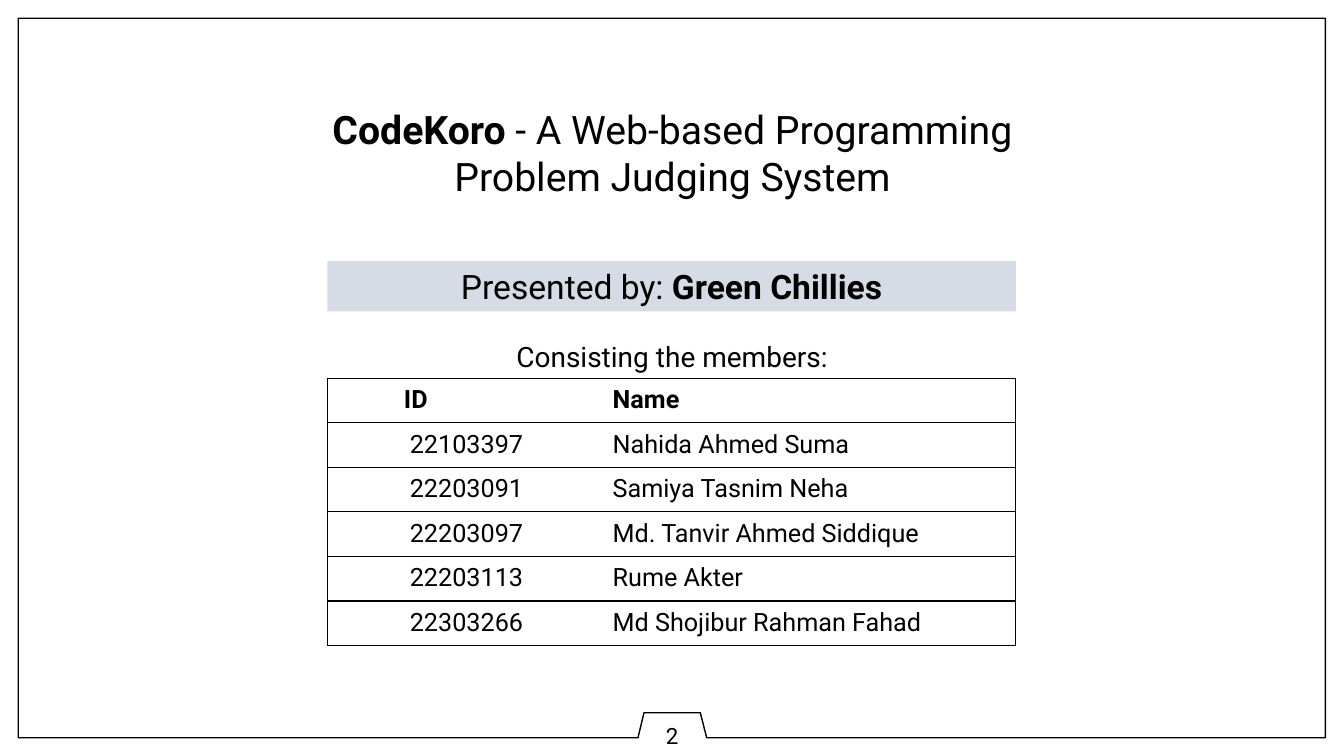
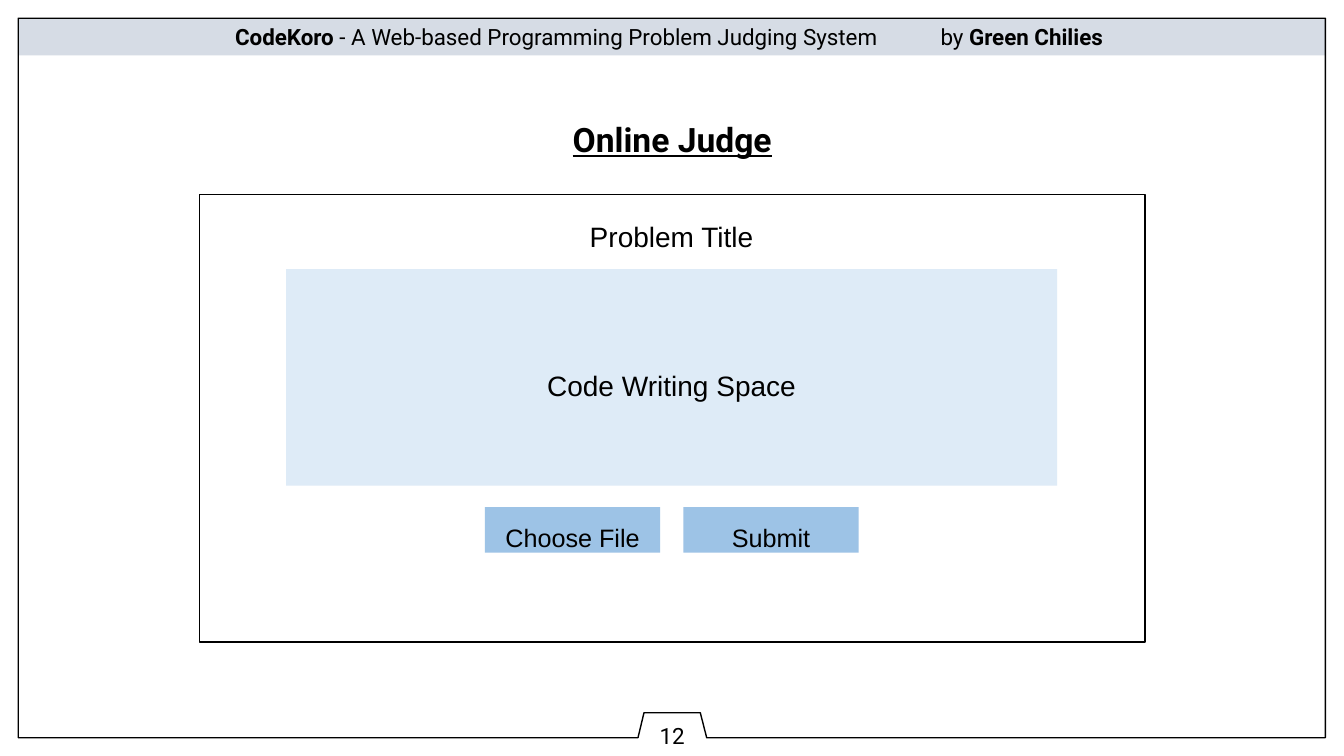
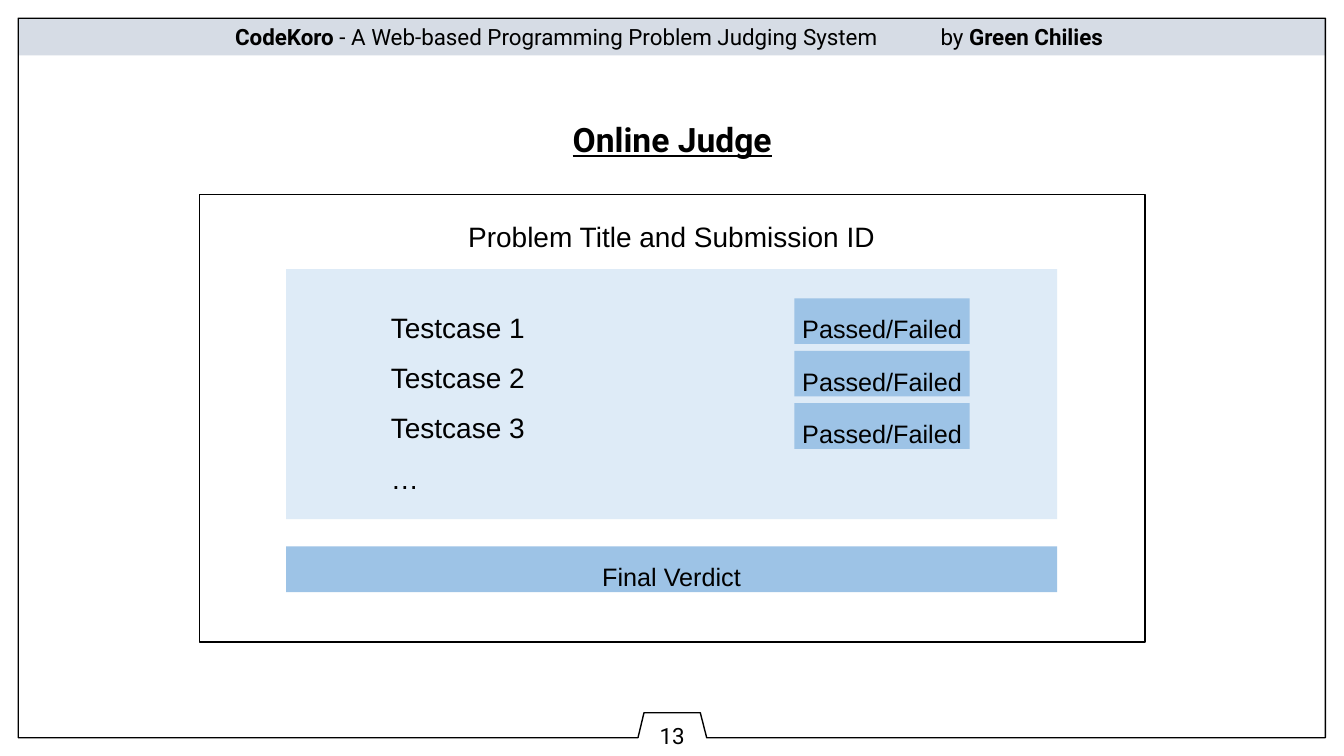
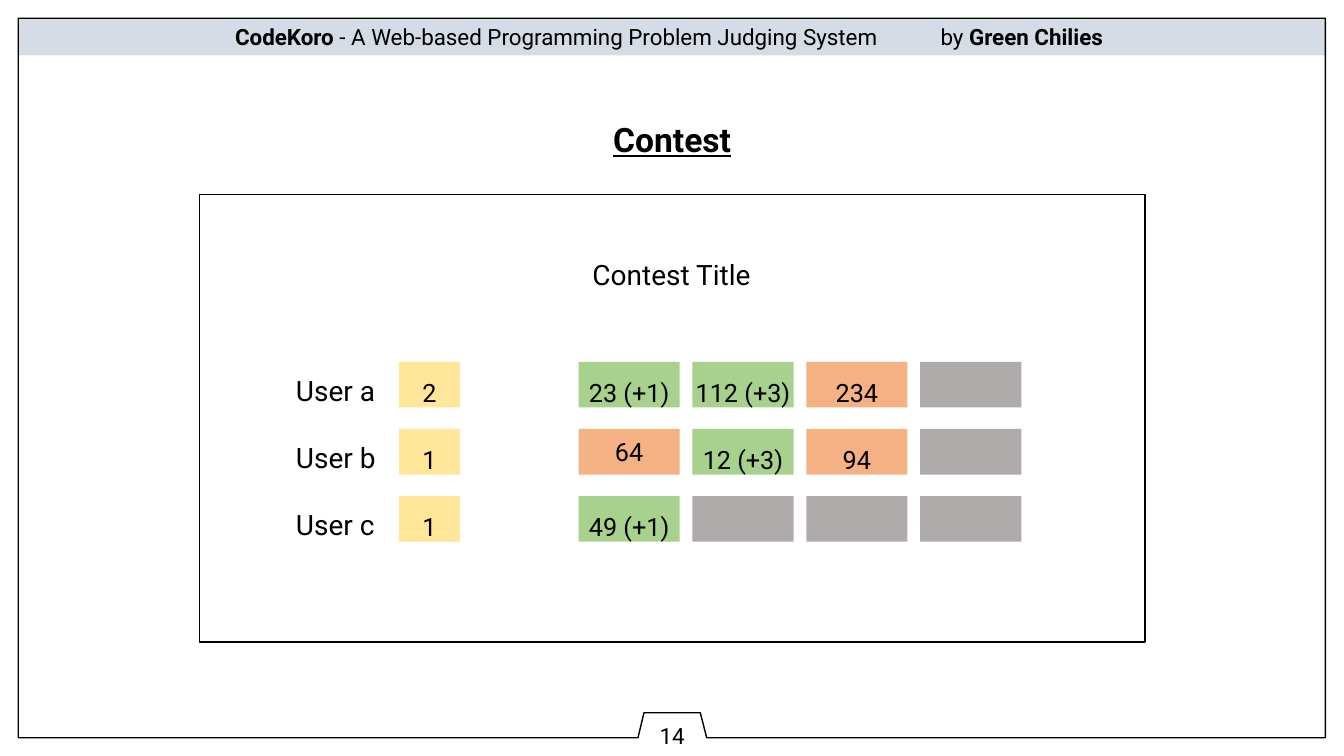
"""Build four slides presenting the CodeKoro judging system."""
from dataclasses import dataclass

from lxml import etree
from pptx import Presentation
from pptx import util as u
from pptx.dml.color import RGBColor
from pptx.enum import shapes, text
from pptx.oxml.ns import qn
from pptx.util import Cm


@dataclass(frozen=True)
class Theme:
    ink: str = "000000"
    paper: str = "FFFFFF"
    band: str = "D6DCE5"
    panel: str = "DEEBF7"
    button: str = "9DC3E6"
    tally: str = "FFE699"
    solved: str = "A9D18E"
    failed: str = "F4B183"
    untried: str = "AFABAB"
    font: str = "Roboto"
    mockup_font: str = "Arial"
    title: int = 28
    heading: int = 24
    caption: int = 20
    label: int = 18
    small: int = 16
    rule: int = 1


theme = Theme()


def style(paragraph, size, font=theme.font, bold=None):
    paragraph.font.size = u.Pt(size)
    paragraph.font.name = font
    paragraph.font.bold = bold
    paragraph.font.color.rgb = RGBColor.from_string(theme.ink)


def box(slide, place, lines=(), size=theme.label, fill=None, outlined=False,
        font=theme.font, spacing=None, align=text.PP_ALIGN.CENTER, indent=0):
    """Add a filled rectangle or a text box; each line is a list of (text, bold) runs."""
    place = [Cm(length) for length in place]
    if fill:
        area = slide.shapes.add_shape(shapes.MSO_SHAPE.RECTANGLE, *place)
        area.shadow.inherit = False
        area.fill.solid()
        area.fill.fore_color.rgb = RGBColor.from_string(fill)
        if outlined:
            area.line.color.rgb = RGBColor.from_string(theme.ink)
            area.line.width = u.Pt(theme.rule)
        else:
            area.line.fill.background()
    else:
        area = slide.shapes.add_textbox(*place)
    frame = area.text_frame
    frame.word_wrap = True
    frame.vertical_anchor = text.MSO_ANCHOR.MIDDLE
    frame.margin_left = Cm(indent)
    frame.margin_top = frame.margin_right = frame.margin_bottom = 0
    for index, line in enumerate(lines):
        paragraph = frame.add_paragraph() if index else frame.paragraphs[0]
        paragraph.alignment = align
        paragraph.line_spacing = spacing
        bolds = {bold for _, bold in line}
        style(paragraph, size, font, bolds.pop() if len(bolds) == 1 else None)
        for words, bold in line:
            run = paragraph.add_run()
            run.text = words
            if bolds:
                run.font.bold = bold
    return area


deck = Presentation()
deck.slide_width, deck.slide_height = Cm(33.87), Cm(19.05)

left, top, right, bottom = 0.46, 0.46, 33.4, 18.59
border = [(left, top), (right, top), (right, bottom), (17.81, bottom),
          (17.65, 17.96), (16.23, 17.96), (16.08, bottom), (left, bottom)]
running_title = [("CodeKoro ", True),
                 ("- A Web-based Programming Problem Judging System \tby ", False),
                 ("Green Chilies ", True)]

pages = []
for number, heading in [(2, None), (12, "Online Judge"), (13, "Online Judge"), (14, "Contest")]:
    page = deck.slides.add_slide(deck.slide_layouts[6])
    pages.append(page)
    if heading:
        band = box(page, (left, top, right - left, 0.94), [running_title], theme.small, theme.band)
        band.text_frame.paragraphs[0]._p.get_or_add_pPr().set("defTabSz", str(u.Inches(1)))
    points = [(Cm(x), Cm(y)) for x, y in border]
    outline = page.shapes.build_freeform(*points[0])
    outline.add_line_segments(points[1:], close=True)
    page_frame = outline.convert_to_shape()
    page_frame.shadow.inherit = False
    page_frame.fill.background()
    page_frame.line.color.rgb = RGBColor.from_string(theme.ink)
    page_frame.line.width = u.Pt(theme.rule)
    box(page, (15.39, 18.03, 3.1, 1.02), [[(str(number), False)]], theme.small)
    if heading:
        title = box(page, (6.5, 2.87, 20.88, 1.27), [[(heading, True)]], theme.heading)
        title.text_frame.paragraphs[0].font.underline = True
        box(page, (5.03, 4.9, 23.83, 11.28), fill=theme.paper, outlined=True)

cover, editor, verdicts, contest = pages

box(cover, (7.42, 2.51, 19.05, 2.64),
    [[("CodeKoro ", True), ("- A Web-based Programming Problem Judging System", False)]],
    theme.title)
box(cover, (8.25, 6.58, 17.35, 1.27),
    [[("Presented by: ", False), ("Green Chillies", True)]], theme.heading, theme.band)
box(cover, (10.41, 8.41, 13.06, 1.12), [[("Consisting the members:", False)]], theme.caption)

members = [("ID", "Name"), ("22103397", "Nahida Ahmed Suma"), ("22203091", "Samiya Tasnim Neha"),
           ("22203097", "Md. Tanvir Ahmed Siddique"), ("22203113", "Rume Akter"),
           ("22303266", "Md Shojibur Rahman Fahad")]
roster = cover.shapes.add_table(len(members), 2, Cm(8.25), Cm(9.53), Cm(17.35), Cm(6.66)).table
roster.horz_banding = False
roster.columns[0].width, roster.columns[1].width = Cm(7.01), Cm(10.34)
for row, member in enumerate(members):
    roster.rows[row].height = Cm(1.11)
    for column, entry in enumerate(member):
        cell = roster.cell(row, column)
        cell.margin_left = cell.margin_right = cell.margin_top = cell.margin_bottom = Cm(0.18)
        cell.fill.solid()
        cell.fill.fore_color.rgb = RGBColor.from_string(theme.paper)
        cell.text = entry
        paragraph = cell.text_frame.paragraphs[0]
        style(paragraph, theme.label, bold=row == 0)
        if column == 0 and row == 0:
            cell.margin_left = Cm(1.93)
        elif column == 0:
            paragraph.alignment = text.PP_ALIGN.CENTER
        properties = cell._tc.get_or_add_tcPr()
        hidden_side = "a:lnL" if column else "a:lnR"
        for index, side in enumerate(("a:lnL", "a:lnR", "a:lnT", "a:lnB")):
            edge = etree.Element(qn(side), w=str(u.Pt(theme.rule)))
            if side == hidden_side:
                etree.SubElement(edge, qn("a:noFill"))
            else:
                ink = etree.SubElement(edge, qn("a:solidFill"))
                etree.SubElement(ink, qn("a:srgbClr"), val=theme.ink)
            properties.insert(index, edge)

captions = [(editor, 5.05, "Problem Title", theme.mockup_font),
            (verdicts, 5.05, "Problem Title and Submission ID", theme.mockup_font),
            (contest, 6.02, "Contest Title", theme.font)]
for page, y, caption, font in captions:
    box(page, (7.49, y, 18.87, 1.37), [[(caption, False)]], theme.caption, font=font, spacing=1.5)

panel_x, panel_y, panel_width = 7.21, 6.78, 19.43
box(editor, (panel_x, panel_y, panel_width, 5.46), [[("Code Writing Space", False)]],
    theme.caption, theme.panel, font=theme.mockup_font, spacing=1.5)
testcases = [[(name, False)] for name in ("Testcase 1", "Testcase 2", "Testcase 3", "…")]
box(verdicts, (panel_x, panel_y, panel_width, 6.3), testcases, theme.caption, theme.panel,
    font=theme.mockup_font, spacing=1.5, align=text.PP_ALIGN.LEFT, indent=2.64)

tag_height, button_width = 1.15, 4.42
buttons = [(editor, 12.22, 12.78, button_width, "Choose File"),
           (editor, 17.22, 12.78, button_width, "Submit"),
           (verdicts, panel_x, 13.77, panel_width, "Final Verdict")]
buttons += [(verdicts, 20.02, 7.52 + 1.32 * case, button_width, "Passed/Failed") for case in range(3)]
for page, x, y, width, label in buttons:
    box(page, (x, y, width, tag_height), [[(label, False)]], fill=theme.button,
        font=theme.mockup_font, spacing=1.5)

standings = [("User a", "2", [("23 (+1)", theme.solved), ("112 (+3)", theme.solved), ("234", theme.failed)]),
             ("User b", "1", [("64", theme.failed), ("12 (+3)", theme.solved), ("94", theme.failed)]),
             ("User c", "1", [("49 (+1)", theme.solved)])]
problem_count = 4
for rank, (user, solved_count, attempts) in enumerate(standings):
    y = 9.12 + 1.69 * rank
    box(contest, (7.21, y - 0.18, 2.85, 1.37), [[(user, False)]], theme.caption,
        spacing=1.5, align=text.PP_ALIGN.LEFT, indent=0.25)
    box(contest, (10.06, y, 1.53, tag_height), [[(solved_count, False)]], fill=theme.tally, spacing=1.5)
    for problem in range(problem_count):
        score, colour = attempts[problem] if problem < len(attempts) else ("", theme.untried)
        box(contest, (14.58 + 2.87 * problem, y, 2.55, tag_height),
            [[(score, False)]] if score else [], fill=colour,
            spacing=1 if score == "64" else 1.5)

deck.save("out.pptx")
